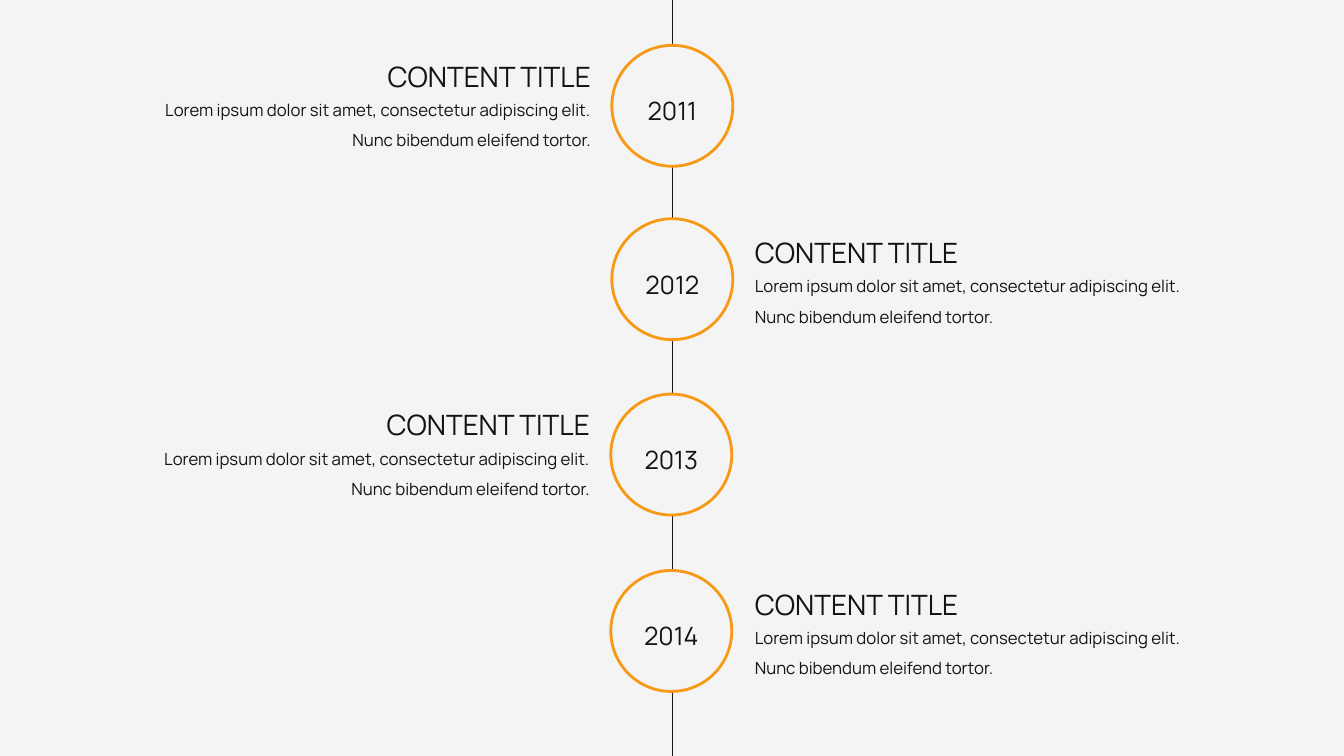
import pptx
import pptx.util
import pptx.dml.color
import pptx.enum.shapes
import pptx.enum.text
import pptx.oxml.ns
from dataclasses import dataclass
from lxml import etree

ALIGN = pptx.enum.text.PP_ALIGN


@dataclass(frozen=True)
class Theme:
    font: str = "Manrope"
    background: str = "F4F4F4"
    text: str = "131313"
    spine: str = "171717"
    ring: str = "F89915"
    title_size: int = 20
    year_size: int = 18
    body_size: int = 12
    spine_width: float = 0.5
    ring_width: float = 2
    line_spacing: float = 1.5


BODY = "Lorem ipsum dolor sit amet, consectetur adipiscing elit. Nunc bibendum eleifend tortor."

# Grid cells are a tenth of an inch on each side.
COLUMNS, ROWS = 133.33, 75
RING_SIZE = 12
TEXT_WIDTH = 47.1
RIGHT_TEXT = 73.9

# year, ring column, ring row, text column, title row, title height, title and body alignment
MILESTONES = [
    ("2011", 60.7, 4.5, 12.5, 3.7, 5.5, ALIGN.RIGHT, ALIGN.RIGHT),
    ("2012", 60.7, 21.7, RIGHT_TEXT, 21.2, 6.1, ALIGN.JUSTIFY, ALIGN.LEFT),
    ("2013", 60.6, 39.1, 12.4, 38.3, 5.5, ALIGN.RIGHT, ALIGN.RIGHT),
    ("2014", 60.6, 56.6, RIGHT_TEXT, 56.1, 6.1, ALIGN.JUSTIFY, ALIGN.LEFT),
]


def cells(*counts):
    return [pptx.util.Inches(count / 10) for count in counts]


def color(value):
    return pptx.dml.color.RGBColor.from_string(value)


def apply(target, values):
    for name, value in values.items():
        setattr(target, name, value)


class Timeline:
    def __init__(self, page, theme):
        self.page = page
        self.theme = theme
        page.background.fill.solid()
        page.background.fill.fore_color.rgb = color(theme.background)

    def outline(self, shape, value, width):
        shape.line.color.rgb = color(value)
        shape.line.width = pptx.util.Pt(width)

    def spine(self):
        middle = COLUMNS / 2
        line = self.page.shapes.add_connector(
            pptx.enum.shapes.MSO_CONNECTOR.STRAIGHT, *cells(middle, 0, middle, ROWS))
        self.outline(line, self.theme.spine, self.theme.spine_width)
        properties = line.element.find(pptx.oxml.ns.qn("p:spPr"))
        etree.SubElement(properties, pptx.oxml.ns.qn("a:effectLst"))

    def text(self, shapes, wording, area, size, alignment):
        box = shapes.add_textbox(*cells(*area))
        apply(box.text_frame, {
            "word_wrap": True,
            "auto_size": pptx.enum.text.MSO_AUTO_SIZE.SHAPE_TO_FIT_TEXT,
        })
        para = box.text_frame.paragraphs[0]
        apply(para, {"alignment": alignment, "line_spacing": self.theme.line_spacing})
        span = para.add_run()
        span.text = wording
        apply(span.font, {"name": self.theme.font, "size": pptx.util.Pt(size)})
        span.font.color.rgb = color(self.theme.text)

    def year(self, wording, column, row):
        """Draw a ring grouped with the year inside it."""
        group = self.page.shapes.add_group_shape()
        ring = group.shapes.add_shape(
            pptx.enum.shapes.MSO_SHAPE.OVAL, *cells(column, row, RING_SIZE, RING_SIZE))
        ring.shadow.inherit = False
        ring.fill.solid()
        ring.fill.fore_color.rgb = color(self.theme.background)
        self.outline(ring, self.theme.ring, self.theme.ring_width)
        self.text(group.shapes, wording, (column, row + 3, RING_SIZE, 5.6),
                  self.theme.year_size, ALIGN.CENTER)

    def description(self, column, row, title_height, title_alignment, body_alignment):
        shapes = self.page.shapes
        self.text(shapes, BODY, (column, row + 4.7, TEXT_WIDTH, 6.7),
                  self.theme.body_size, body_alignment)
        self.text(shapes, "CONTENT TITLE", (column, row, TEXT_WIDTH, title_height),
                  self.theme.title_size, title_alignment)


def main():
    deck = pptx.Presentation()
    deck.slide_width, deck.slide_height = cells(COLUMNS, ROWS)
    timeline = Timeline(deck.slides.add_slide(deck.slide_layouts[6]), Theme())
    timeline.spine()
    for year, ring_column, ring_row, *description in MILESTONES:
        timeline.year(year, ring_column, ring_row)
        timeline.description(*description)
    deck.save("out.pptx")


if __name__ == "__main__":
    main()
